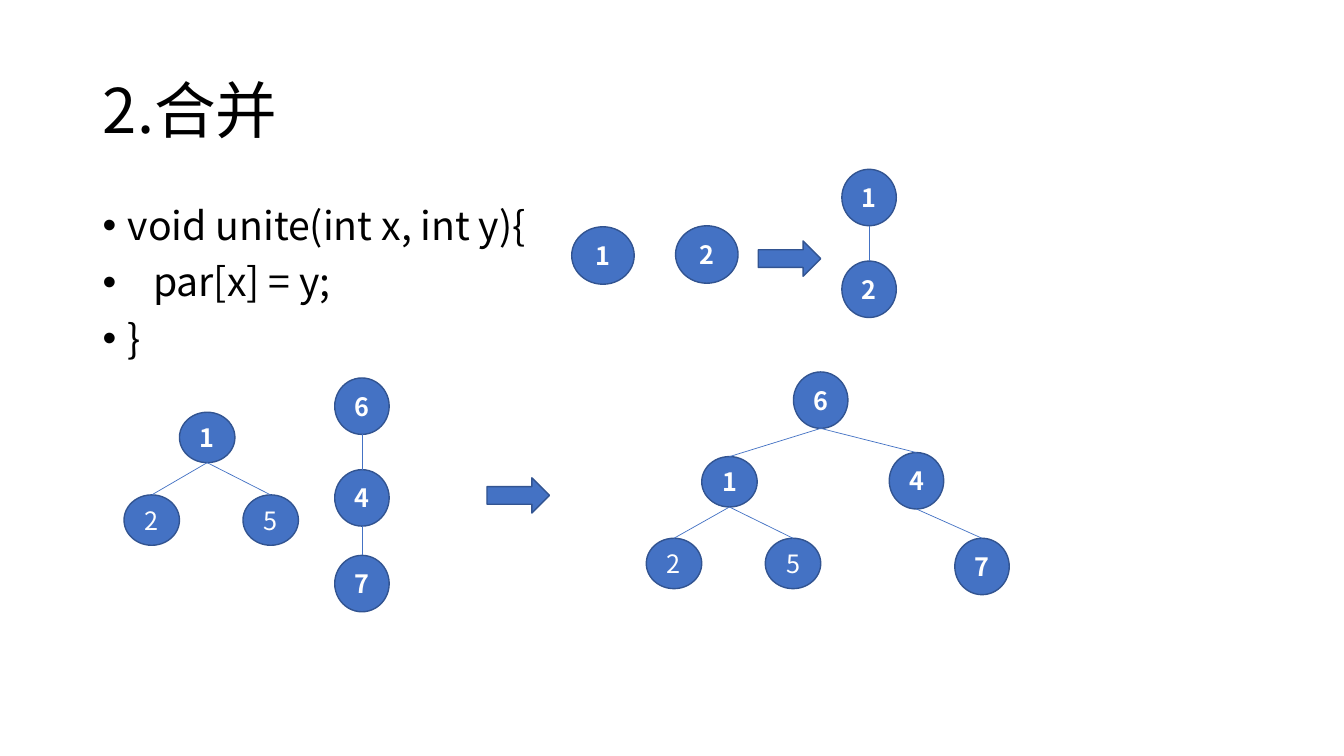
"""Build the slide on merging two trees of a union-find structure."""
from lxml.etree import SubElement
from pptx import Presentation
from pptx.dml.color import RGBColor
from pptx.enum.shapes import MSO_CONNECTOR as Connector, MSO_SHAPE as Preset
from pptx.enum.text import MSO_ANCHOR as Anchor, MSO_AUTO_SIZE as AutoSize, PP_ALIGN as Align
from pptx.oxml.ns import qn
from pptx.util import Inches, Pt

FONT = "Noto Sans CJK SC"
COLORS = {"text": "000000", "fill": "4472C4", "outline": "325491", "label": "FFFFFF"}

TITLE = "2.合并"
CODE = ["void unite(int x, int y){", "\tpar[x] = y;", "} "]

SIZES = {"single": (0.62, 0.57), "tall": (0.54, 0.56), "wide": (0.55, 0.5)}
TREES = [
    {"nodes": {"1": (5.67, 2.25, "single"), "2": (6.7, 2.24, "single")}, "edges": []},
    {"nodes": {"1": (8.35, 1.68, "tall"), "2": (8.35, 2.59, "tall")}, "edges": ["12"]},
    {"nodes": {"1": (1.78, 4.09, "wide"), "2": (1.23, 4.91, "wide"), "5": (2.41, 4.91, "wide")},
     "edges": ["12", "15"]},
    {"nodes": {"6": (3.32, 3.75, "tall"), "4": (3.32, 4.66, "tall"), "7": (3.32, 5.51, "tall")},
     "edges": ["64", "47"]},
    {"nodes": {"6": (7.87, 3.69, "tall"), "4": (8.82, 4.49, "tall"), "7": (9.47, 5.34, "tall"),
               "1": (6.96, 4.53, "wide"), "2": (6.41, 5.34, "wide"), "5": (7.59, 5.34, "wide")},
     "edges": ["64", "47", "61", "12", "15"]},
]
LIGHT_NODES = [("2", "wide"), ("5", "wide")]
ARROWS = [(7.52, 2.39), (4.83, 4.74)]
ARROW_SIZE = (0.62, 0.35)


def color(name):
    return RGBColor.from_string(COLORS[name])


def apply(target, formats):
    for name, value in formats.items():
        setattr(target, name, value)


def write(para, text, size, ink, bold=False, **formats):
    apply(para, formats)
    span = para.add_run()
    span.text = text
    apply(span.font, {"name": FONT, "size": Pt(size), "bold": bold})
    span.font.color.rgb = color(ink)
    SubElement(span.font._element, qn("a:ea")).set("typeface", FONT)


def add_solid(preset, left, top, width, height):
    shape = slide.shapes.add_shape(preset, *map(Inches, (left, top, width, height)))
    shape.shadow.inherit = False
    shape.fill.solid()
    shape.fill.fore_color.rgb = color("fill")
    shape.line.color.rgb = color("outline")
    shape.line.width = Pt(1)
    return shape


def add_node(label, left, top, kind):
    node = add_solid(Preset.OVAL, left, top, *SIZES[kind])
    node.text_frame.vertical_anchor = Anchor.MIDDLE
    write(node.text_frame.paragraphs[0], label, 18, "label",
          bold=(label, kind) not in LIGHT_NODES, alignment=Align.CENTER)
    return node


def add_edge(parent, child):
    edge = slide.shapes.add_connector(
        Connector.STRAIGHT,
        parent.left + parent.width // 2, parent.top + parent.height,
        child.left + child.width // 2, child.top)
    edge.line.color.rgb = color("fill")
    edge.line.width = Pt(0.5)
    SubElement(edge._element.spPr, qn("a:effectLst"))


def add_bullet(para):
    properties = para._p.get_or_add_pPr()
    properties.set("marL", str(Inches(0.25)))
    properties.set("indent", str(-Inches(0.25)))
    SubElement(properties, qn("a:buFont")).set("typeface", "Arial")
    SubElement(properties, qn("a:buChar")).set("char", "•")


deck = Presentation()
apply(deck, {"slide_width": Inches(13.33), "slide_height": Inches(7.5)})
slide = deck.slides.add_slide(deck.slide_layouts[5])

title = slide.shapes.title
apply(title, {"left": Inches(0.92), "top": Inches(0.4),
              "width": Inches(11.5), "height": Inches(1.45)})
apply(title.text_frame, {"vertical_anchor": Anchor.MIDDLE, "auto_size": AutoSize.NONE})
write(title.text_frame.paragraphs[0], TITLE, 44, "text", alignment=Align.LEFT, line_spacing=0.9)

box = slide.shapes.add_textbox(*map(Inches, (0.92, 2, 11.5, 4.76)))
box.text_frame.word_wrap = True
for index, line in enumerate(CODE):
    para = box.text_frame.add_paragraph() if index else box.text_frame.paragraphs[0]
    write(para, line, 28, "text", line_spacing=0.9, space_before=Pt(10))
    add_bullet(para)

for tree in TREES:
    nodes = {label: add_node(label, *place) for label, place in tree["nodes"].items()}
    for parent, child in tree["edges"]:
        add_edge(nodes[parent], nodes[child])

for left, top in ARROWS:
    add_solid(Preset.RIGHT_ARROW, left, top, *ARROW_SIZE)

deck.save("out.pptx")
